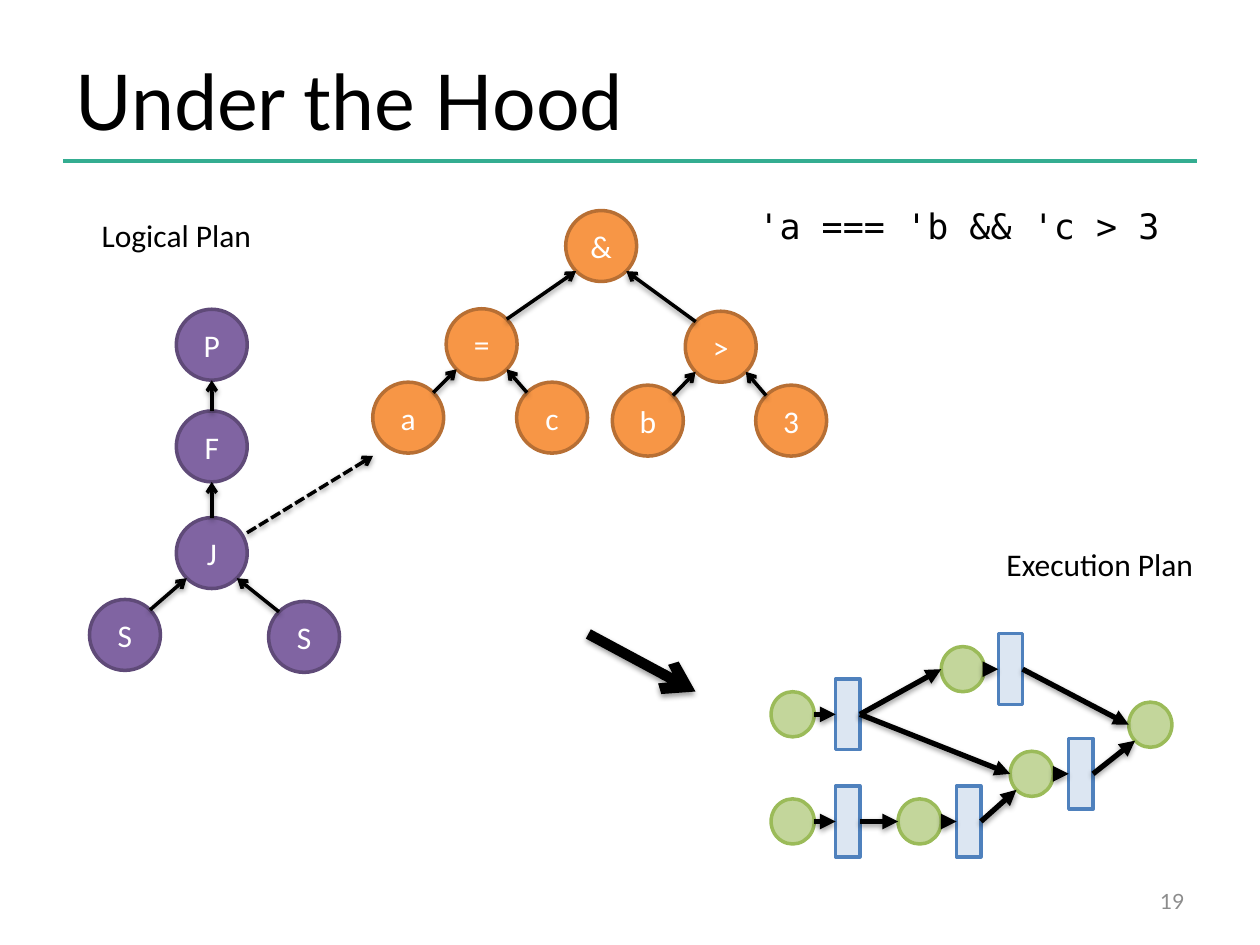
from math import sqrt

from lxml import etree
from pptx import Presentation
from pptx.dml.color import RGBColor
from pptx.enum.dml import MSO_LINE
from pptx.enum.shapes import MSO_CONNECTOR, MSO_SHAPE
from pptx.enum.text import MSO_ANCHOR, PP_ALIGN
from pptx.oxml.ns import qn
from pptx.util import Cm, Pt

OVAL, RECTANGLE = MSO_SHAPE.OVAL, MSO_SHAPE.RECTANGLE
STRAIGHT = MSO_CONNECTOR.STRAIGHT
LEFT, CENTER, RIGHT = PP_ALIGN.LEFT, PP_ALIGN.CENTER, PP_ALIGN.RIGHT
TOP, MIDDLE = MSO_ANCHOR.TOP, MSO_ANCHOR.MIDDLE
DASH = MSO_LINE.SQUARE_DOT

BLACK, WHITE = "000000", "FFFFFF"
NODE_SIZE = 1.43
TASK_SIZE = (0.87, 0.91)
STORE_SIZE = (0.49, 1.43)
LEFT_SIDE, RIGHT_SIDE = 1, 3

TREES = [
    {
        "fill": "8064A2", "line": "5F4A78",
        "nodes": {
            "project": ("P", 4.27, 6.95), "filter": ("F", 4.27, 9.0),
            "join": ("J", 4.27, 11.15),
            "left scan": ("S", 2.52, 12.8), "right scan": ("S", 6.13, 12.84),
        },
        "edges": [("left scan", "join"), ("right scan", "join"),
                  ("join", "filter"), ("filter", "project")],
    },
    {
        "fill": "F79646", "line": "B76F34",
        "nodes": {
            "and": ("&", 12.12, 4.96),
            "equal": ("=", 9.71, 6.94), "greater": (">", 14.53, 6.99),
            "a": ("a", 8.23, 8.42), "c": ("c", 11.13, 8.42),
            "b": ("b", 13.06, 8.48), "three": ("3", 15.95, 8.48),
        },
        "edges": [("a", "equal"), ("c", "equal"), ("b", "greater"),
                  ("three", "greater"), ("equal", "and"), ("greater", "and")],
    },
]

TASKS = {
    "upper source": (15.98, 14.4), "lower source": (15.98, 16.56),
    "lower step": (18.54, 16.56), "merge": (20.8, 15.6),
    "upper step": (19.41, 13.49), "result": (23.19, 14.61),
}
STORE_X = {"upper source": 17.09, "lower source": 17.09, "lower step": 19.53,
           "merge": 21.79, "upper step": 20.37}
FLOWS = [
    ("upper source", "upper step", "left"), ("upper source", "merge", "left"),
    ("lower source", "lower step", "left"), ("lower step", "merge", "lower left"),
    ("upper step", "result", "left"), ("merge", "result", "lower left"),
]

TEXTS = [
    ("Logical Plan", (1.8, 4.24, 3.56, 1.02), "Calibri", 18, BLACK, LEFT, TOP, False),
    ("Execution Plan", (20.04, 10.87, 4.32, 1.02), "Calibri", 18, BLACK, LEFT, TOP, False),
    ("'a === 'b && 'c > 3", (15.04, 3.99, 8.59, 1.96), "DejaVu Sans Mono", 20, BLACK, LEFT, TOP, True),
    ("19", (18.21, 17.65, 5.92, 1.02), "Lato", 12, "8C8C8C", RIGHT, MIDDLE, True),
]


def color(value):
    return RGBColor.from_string(value)


def write(frame, text, font, size, value, align, anchor):
    frame.text = text
    frame.vertical_anchor = anchor
    para = frame.paragraphs[0]
    para.alignment = align
    para.font.name = font
    para.font.size = Pt(size)
    para.font.color.rgb = color(value)


def add_centered(page, kind, center, size, fill, line):
    x, y = center
    width, height = size
    shape = page.shapes.add_shape(
        kind, Cm(x - width / 2), Cm(y - height / 2), Cm(width), Cm(height))
    shape.shadow.inherit = False
    shape.fill.solid()
    shape.fill.fore_color.rgb = color(fill)
    shape.line.color.rgb = color(line)
    shape.line.width = Pt(2)
    return shape


def add_line(page, start, end, width, head=None, value=BLACK, dash=None):
    line = page.shapes.add_connector(
        STRAIGHT, *(Cm(length) for length in (*start, *end)))
    line.line.color.rgb = color(value)
    line.line.width = Pt(width)
    if dash:
        line.line.dash_style = dash
    properties = line._element.spPr
    effects = etree.SubElement(properties, qn("a:effectLst"))
    if head:
        etree.SubElement(properties.find(qn("a:ln")), qn("a:tailEnd"), type=head)
        shadow = etree.SubElement(
            effects, qn("a:outerShdw"), blurRad="40000", dist="20000",
            dir="5400000", rotWithShape="0")
        tone = etree.SubElement(shadow, qn("a:srgbClr"), val=BLACK)
        etree.SubElement(tone, qn("a:alpha"), val="38000")
    return line


def add_tree(page, tree):
    nodes = tree["nodes"]
    for label, x, y in nodes.values():
        node = add_centered(page, OVAL, (x, y), (NODE_SIZE, NODE_SIZE),
                            tree["fill"], tree["line"])
        node.text_frame.word_wrap = False
        write(node.text_frame, label, "Calibri", 18, WHITE, CENTER, MIDDLE)
    radius = NODE_SIZE / 2
    for child, parent in tree["edges"]:
        _, x1, y1 = nodes[child]
        _, x2, y2 = nodes[parent]
        side = (x2 > x1) - (x2 < x1)
        rise = radius / sqrt(2) if side else radius
        add_line(page, (x1 + side * rise, y1 - rise),
                 (x2 - side * rise, y2 + rise), 2, "arrow")


def add_execution_plan(page):
    half_width, half_height = (length / 2 for length in TASK_SIZE)
    arrivals = {"left": (-half_width, 0),
                "lower left": (-half_width / sqrt(2), half_height / sqrt(2))}
    for center in TASKS.values():
        add_centered(page, OVAL, center, TASK_SIZE, "C3D69B", "9BBB59")
    stores = {}
    for name, store_x in STORE_X.items():
        x, y = TASKS[name]
        stores[name] = add_centered(page, RECTANGLE, (store_x, y), STORE_SIZE,
                                    "DCE6F2", "4F81BD")
        line = add_line(page, (x + half_width, y), (store_x, y), 3, "triangle")
        line.end_connect(stores[name], LEFT_SIDE)
    for source, target, arrival in FLOWS:
        x, y = TASKS[target]
        dx, dy = arrivals[arrival]
        start = (STORE_X[source], TASKS[source][1])
        line = add_line(page, start, (x + dx, y + dy), 3, "triangle")
        line.begin_connect(stores[source], RIGHT_SIDE)


def main():
    deck = Presentation()
    deck.slide_width, deck.slide_height = Cm(25.4), Cm(19.05)
    page = deck.slides.add_slide(deck.slide_layouts[5])

    title = page.shapes.title
    title.left, title.top, title.width, title.height = (
        Cm(length) for length in (1.27, 0.76, 20.75, 2.49))
    write(title.text_frame, "Under the Hood", "Lato", 44, BLACK, LEFT, MIDDLE)
    add_line(page, (1.27, 3.25), (24.13, 3.25), 2, value="34AD91")

    for tree in TREES:
        add_tree(page, tree)
    add_line(page, (4.98, 10.74), (7.52, 9.19), 2, "arrow", dash=DASH)
    add_execution_plan(page)
    add_line(page, (11.86, 12.78), (14.02, 13.94), 6, "arrow")

    for text, place, font, size, value, align, anchor, wrap in TEXTS:
        box = page.shapes.add_textbox(*(Cm(length) for length in place))
        box.text_frame.word_wrap = wrap
        write(box.text_frame, text, font, size, value, align, anchor)

    deck.save("out.pptx")


if __name__ == "__main__":
    main()
